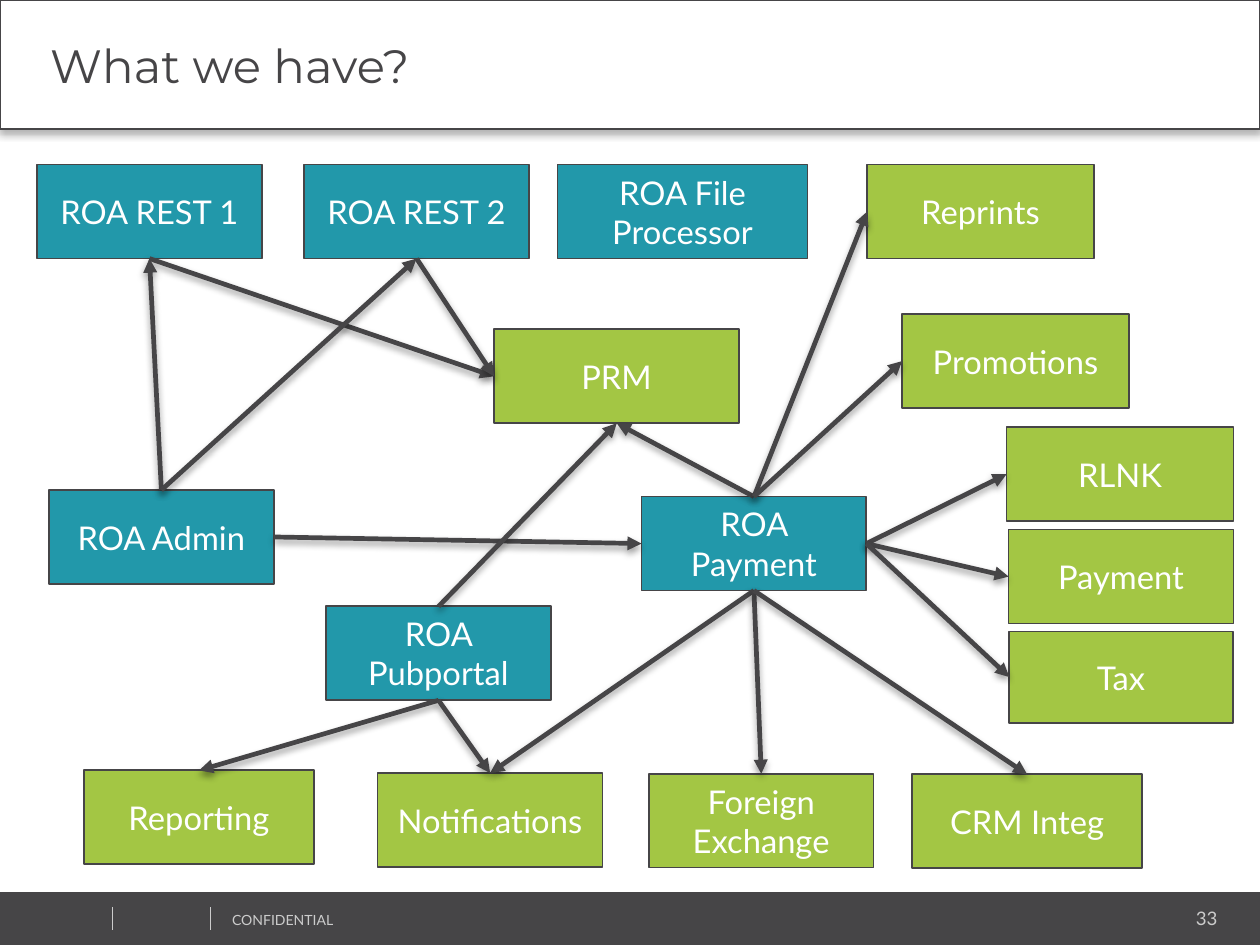
from pptx import Presentation
from pptx.dml.color import RGBColor
from pptx.enum.shapes import MSO_CONNECTOR, MSO_SHAPE
from pptx.enum.text import MSO_ANCHOR, PP_ALIGN
from pptx.oxml import parse_xml
from pptx.oxml.ns import nsdecls, qn
from pptx.util import Cm, Pt

RECTANGLE = MSO_SHAPE.RECTANGLE
STRAIGHT = MSO_CONNECTOR.STRAIGHT
MIDDLE, TOP_ANCHOR = MSO_ANCHOR.MIDDLE, MSO_ANCHOR.TOP
LEFT_ALIGN, CENTER, RIGHT_ALIGN = PP_ALIGN.LEFT, PP_ALIGN.CENTER, PP_ALIGN.RIGHT
TOP, LEFT, BOTTOM, RIGHT = range(4)

COLORS = {
    "dark": "464547",
    "teal": "2298AA",
    "green": "A3C644",
    "grey": "CCCCCC",
    "white": "FFFFFF",
    "black": "000000",
}
SLIDE_WIDTH, SLIDE_HEIGHT = 19.05, 14.29
BOX_WIDTH, BOX_HEIGHT = 3.4, 1.42
TOP_ROW = 2.49

BOXES = [
    ("ROA REST 1", "teal", 0.56, TOP_ROW, BOX_WIDTH, BOX_HEIGHT),
    ("ROA REST 2", "teal", 4.6, TOP_ROW, BOX_WIDTH, BOX_HEIGHT),
    ("ROA File Processor", "teal", 8.43, TOP_ROW, 3.78, BOX_HEIGHT),
    ("Reprints", "green", 13.11, TOP_ROW, 3.43, BOX_HEIGHT),
    ("PRM", "green", 7.47, 4.98, 3.71, BOX_HEIGHT),
    ("Promotions", "green", 13.64, 4.75, 3.43, BOX_HEIGHT),
    ("RLNK", "green", 15.22, 6.46, 3.43, BOX_HEIGHT),
    ("Payment", "green", 15.25, 8.01, BOX_WIDTH, BOX_HEIGHT),
    ("Tax", "green", 15.26, 9.55, 3.38, 1.38),
    ("ROA Admin", "teal", 0.74, 7.41, BOX_WIDTH, BOX_HEIGHT),
    ("ROA Payment", "teal", 9.7, 7.51, BOX_WIDTH, BOX_HEIGHT),
    ("ROA Pubportal", "teal", 4.93, 9.17, BOX_WIDTH, BOX_HEIGHT),
    ("Reporting", "green", 1.27, 11.65, 3.48, BOX_HEIGHT),
    ("Notifications", "green", 5.71, 11.69, BOX_WIDTH, BOX_HEIGHT),
    ("Foreign Exchange", "green", 9.81, 11.7, BOX_WIDTH, BOX_HEIGHT),
    ("CRM Integ", "green", 13.79, 11.71, 3.48, BOX_HEIGHT),
]

ARROWS = [
    ("ROA REST 1", BOTTOM, "PRM", LEFT),
    ("ROA REST 2", BOTTOM, "PRM", LEFT),
    ("ROA Admin", TOP, "ROA REST 1", BOTTOM),
    ("ROA Admin", TOP, "ROA REST 2", BOTTOM),
    ("ROA Admin", RIGHT, "ROA Payment", LEFT),
    ("ROA Payment", TOP, "PRM", BOTTOM),
    ("ROA Payment", TOP, "Reprints", LEFT),
    ("ROA Payment", TOP, "Promotions", LEFT),
    ("ROA Payment", RIGHT, "RLNK", LEFT),
    ("ROA Payment", RIGHT, "Payment", LEFT),
    ("ROA Payment", RIGHT, "Tax", LEFT),
    ("ROA Payment", BOTTOM, "Notifications", TOP),
    ("ROA Payment", BOTTOM, "Foreign Exchange", TOP),
    ("ROA Payment", BOTTOM, "CRM Integ", TOP),
    ("ROA Pubportal", TOP, "PRM", BOTTOM),
    ("ROA Pubportal", BOTTOM, "Reporting", TOP),
    ("ROA Pubportal", BOTTOM, "Notifications", TOP),
]


class DiagramSlide:
    body_font = "Lato"
    title_font = "Montserrat"

    def __init__(self, slide):
        self.slide = slide
        self.boxes = {}

    def color(self, name):
        return RGBColor.from_string(COLORS[name])

    def effects(self, shape, opacity=None, distance=0):
        properties = shape.element.spPr
        for effect_list in properties.findall(qn("a:effectLst")):
            properties.remove(effect_list)
        shadow = ""
        if opacity:
            shadow = (
                f'<a:outerShdw blurRad="{Pt(3.1)}" dist="{Pt(distance)}" dir="5400000" '
                f'algn="t" rotWithShape="0"><a:srgbClr val="{COLORS["black"]}">'
                f'<a:alpha val="{opacity * 1000}"/></a:srgbClr></a:outerShdw>'
            )
        properties.append(parse_xml(f'<a:effectLst {nsdecls("a")}>{shadow}</a:effectLst>'))

    def set_text(self, shape, text, size, color, font, align, anchor):
        text_frame = shape.text_frame
        text_frame.word_wrap = True
        text_frame.vertical_anchor = anchor
        text_frame.text = text
        paragraph = text_frame.paragraphs[0]
        paragraph.alignment = align
        style = paragraph.runs[0].font
        style.size = Pt(size)
        style.name = font
        style.color.rgb = self.color(color)

    def rectangle(self, left, top, width, height, fill, outlined=True):
        shape = self.slide.shapes.add_shape(
            RECTANGLE, Cm(left), Cm(top), Cm(width), Cm(height))
        shape.fill.solid()
        shape.fill.fore_color.rgb = self.color(fill)
        if outlined:
            shape.line.color.rgb = self.color("dark")
            shape.line.width = Pt(0.75)
        else:
            shape.line.fill.background()
        shape.shadow.inherit = False
        return shape

    def title(self, text):
        shape = self.rectangle(0, 0, SLIDE_WIDTH, 1.95, "white")
        self.effects(shape, 30, 2)
        self.set_text(shape, text, 20, "dark", self.title_font, LEFT_ALIGN, MIDDLE)
        shape.text_frame.margin_left = Cm(0.76)

    def box(self, text, fill, left, top, width, height):
        shape = self.rectangle(left, top, width, height, fill)
        self.set_text(shape, text, 14, "white", self.body_font, CENTER, MIDDLE)
        self.boxes[text] = shape

    def line(self, color, width, left=0, top=0, right=0, bottom=0):
        connector = self.slide.shapes.add_connector(
            STRAIGHT, Cm(left), Cm(top), Cm(right), Cm(bottom))
        connector.line.color.rgb = self.color(color)
        connector.line.width = Pt(width)
        self.effects(connector)
        return connector

    def arrow(self, source, source_side, target, target_side):
        connector = self.line("dark", 2)
        connector.begin_connect(self.boxes[source], source_side)
        connector.end_connect(self.boxes[target], target_side)
        outline = connector.element.spPr.find(qn("a:ln"))
        outline.append(parse_xml(f'<a:tailEnd {nsdecls("a")} type="triangle"/>'))
        self.effects(connector, 38, 1.6)

    def label(self, text, left, top, width, height, size, align):
        shape = self.slide.shapes.add_textbox(Cm(left), Cm(top), Cm(width), Cm(height))
        self.set_text(shape, text, size, "grey", self.body_font, align, TOP_ANCHOR)
        text_frame = shape.text_frame
        text_frame.margin_left = text_frame.margin_right = Cm(0.18)
        text_frame.margin_top = text_frame.margin_bottom = Cm(0.1)

    def footer(self, notice, number):
        self.rectangle(0, 13.49, SLIDE_WIDTH, 0.8, "dark", outlined=False)
        self.label(number, 15.47, 13.61, 3.12, 0.53, 8, RIGHT_ALIGN)
        self.label(notice, 3.33, 13.69, 4.83, 0.46, 6, LEFT_ALIGN)
        for left in (1.7, 3.18):
            self.line("grey", 0.25, left, 13.72, left, 14.07)


def main():
    presentation = Presentation()
    presentation.slide_width = Cm(SLIDE_WIDTH)
    presentation.slide_height = Cm(SLIDE_HEIGHT)
    diagram = DiagramSlide(presentation.slides.add_slide(presentation.slide_layouts[6]))
    diagram.footer("CONFIDENTIAL", "33")
    diagram.title("What we have?")
    for box in BOXES:
        diagram.box(*box)
    for arrow in ARROWS:
        diagram.arrow(*arrow)
    presentation.save("out.pptx")


if __name__ == "__main__":
    main()
